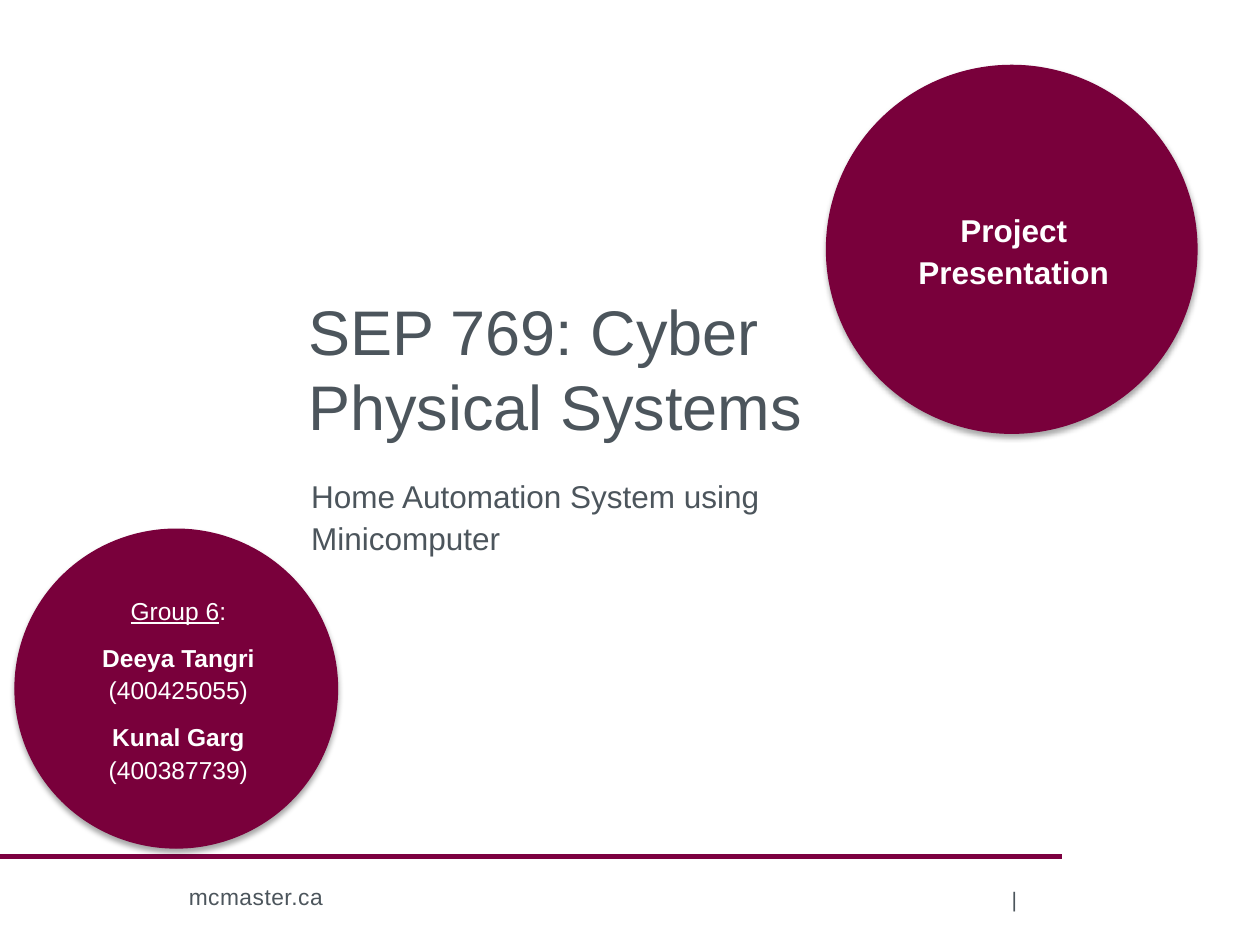
from lxml.etree import SubElement
from pptx import Presentation
from pptx.dml.color import RGBColor
from pptx.enum.shapes import MSO_CONNECTOR as Connector, MSO_SHAPE as Shape
from pptx.enum.text import MSO_ANCHOR as Anchor, PP_ALIGN as Align
from pptx.oxml.ns import qn
from pptx.util import Pt

MAROON = "79003B"
RULE = "7C0040"
GREY = "4C555C"
WHITE = "FFFFFF"


def color(value):
    return RGBColor.from_string(value)


def add_text(page, box, paragraphs, size, ink=GREY, align=Align.LEFT,
             anchor=Anchor.TOP, left_inset=7.2, spacing=1.0, after=0):
    frame = page.shapes.add_textbox(*map(Pt, box)).text_frame
    frame.word_wrap = True
    frame.vertical_anchor = anchor
    frame.margin_left = Pt(left_inset)
    for index, spans in enumerate(paragraphs):
        para = frame.add_paragraph() if index else frame.paragraphs[0]
        para.alignment = align
        para.line_spacing = spacing
        para.space_after = Pt(after)
        para.font.name = "Arial"
        para.font.size = Pt(size)
        para.font.color.rgb = color(ink)
        for text, style in spans:
            span = para.add_run()
            span.text = text
            if style == "bold":
                span.font.bold = True
            if style == "underline":
                span.font.underline = True
    return frame


def add_shadow(shape):
    shape.shadow.inherit = False
    effects = shape._element.spPr.find(qn("a:effectLst"))
    shadow = SubElement(effects, qn("a:outerShdw"), blurRad=str(Pt(3.1)),
                        dist=str(Pt(1.8)), dir="5400000", rotWithShape="0")
    black = SubElement(shadow, qn("a:srgbClr"), val="000000")
    SubElement(black, qn("a:alpha"), val="35000")


def add_badge(page, box, text_offset, paragraphs, size):
    left, top, width, height = box
    circle = page.shapes.add_shape(Shape.OVAL, *map(Pt, box))
    circle.fill.solid()
    circle.fill.fore_color.rgb = color(MAROON)
    circle.line.color.rgb = color(MAROON)
    circle.line.width = Pt(0.75)
    add_shadow(circle)
    across, down = text_offset
    add_text(page, (left + across, top + down, 153.4, 136), paragraphs, size, WHITE,
             Align.CENTER, Anchor.MIDDLE, 8.64, 1.12, 8)


def add_heading(page, box):
    left, top, width, height = box
    add_text(page, (left, top, width, 210.2),
             [[("SEP 769: Cyber Physical Systems", "")]], 36,
             anchor=Anchor.BOTTOM)
    add_text(page, (left, top + 219.6, 292.3, height - 219.6),
             [[("Home Automation System using Minicomputer", "")]], 18,
             left_inset=8.64, spacing=1.12, after=8)


def add_footer(page, box):
    left, top, width, height = box
    rule = page.shapes.add_connector(Connector.STRAIGHT, Pt(left), Pt(top),
                                     Pt(left + width), Pt(top))
    rule.line.color.rgb = color(RULE)
    rule.line.width = Pt(3)
    SubElement(rule._element.spPr, qn("a:effectLst"))
    add_text(page, (left + 570.2, top + 10, 18, 28.8), [[("|", "")]], 12,
             align=Align.RIGHT, anchor=Anchor.MIDDLE)
    site = add_text(page, (left + 100.8, top + 11.5, 197.3, 23),
                    [[("mcmaster.ca", "")]], 13)
    site.paragraphs[0].runs[0].font._element.set("spc", "30")


def main():
    deck = Presentation()
    deck.slide_width, deck.slide_height = Pt(720), Pt(540)
    page = deck.slides.add_slide(deck.slide_layouts[6])
    members = [("Deeya Tangri ", "(400425055)"), ("Kunal Garg ", "(400387739)")]
    group = [[("Group 6", "underline"), (":", "")]]
    group += [[(name, "bold"), (number, "")] for name, number in members]
    add_footer(page, (0, 489.6, 607, 50.4))
    add_badge(page, (472.3, 37.4, 211.7, 210.2), (29.5, 36.7),
              [[("Project Presentation", "bold")]], 18)
    add_badge(page, (8.6, 302.4, 184.3, 182.2), (15.9, 23), group, 14)
    add_heading(page, (169.2, 46.8, 311.8, 291.6))
    deck.save("out.pptx")


if __name__ == "__main__":
    main()
